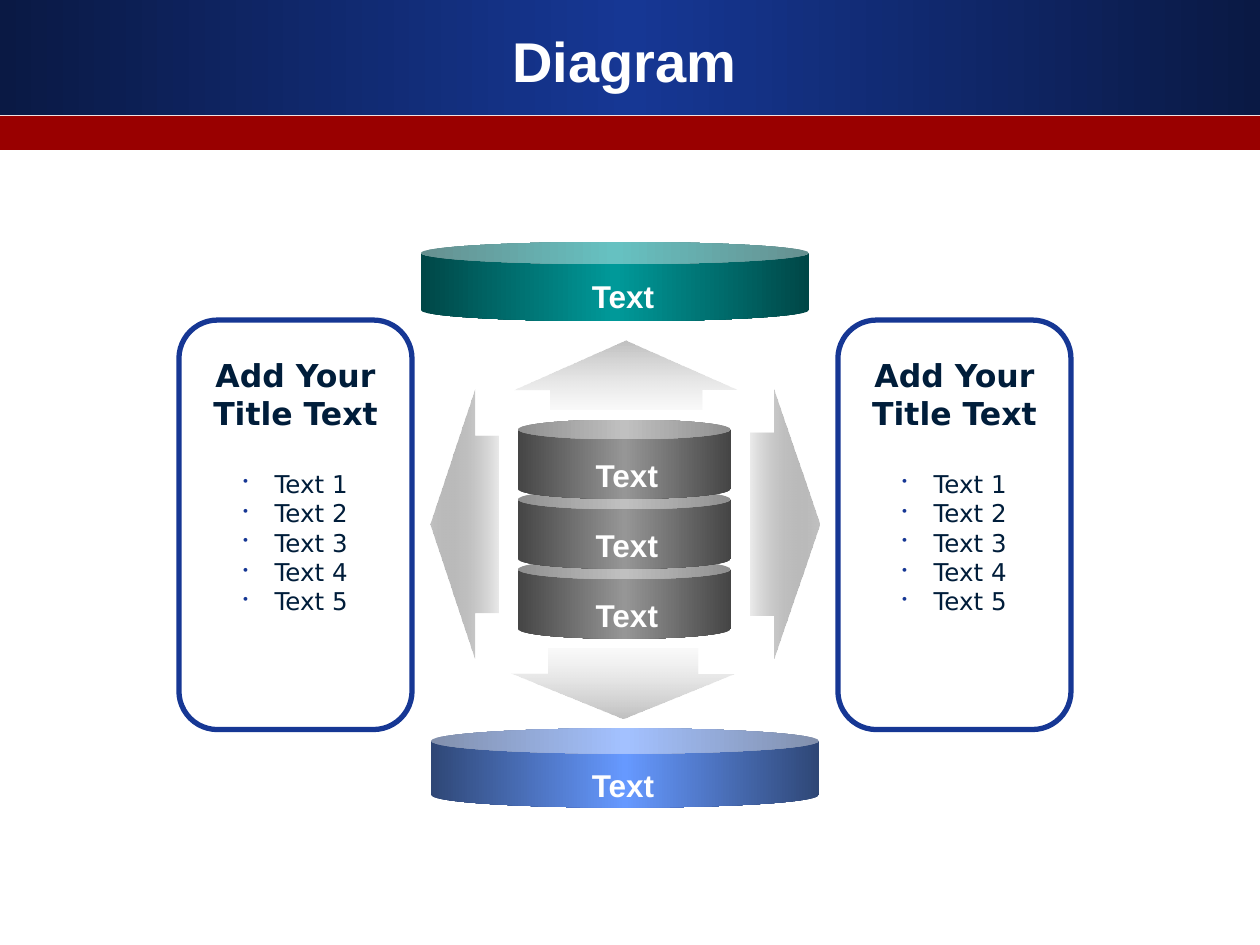
from pptx import Presentation
from pptx.dml.color import RGBColor
from pptx.enum.shapes import MSO_SHAPE
from pptx.enum.text import MSO_ANCHOR, PP_ALIGN
from pptx.oxml.ns import qn
from pptx.util import Inches, Pt
from lxml import etree

RECT = MSO_SHAPE.RECTANGLE
ROUNDED = MSO_SHAPE.ROUNDED_RECTANGLE
CAN = MSO_SHAPE.CAN
UP = MSO_SHAPE.UP_ARROW
DOWN = MSO_SHAPE.DOWN_ARROW
LEFT = MSO_SHAPE.LEFT_ARROW
RIGHT = MSO_SHAPE.RIGHT_ARROW
CENTER = PP_ALIGN.CENTER
MIDDLE = MSO_ANCHOR.MIDDLE

WHITE = RGBColor(0xFF, 0xFF, 0xFF)
RED = RGBColor(0x99, 0x00, 0x00)
BLUE = RGBColor(0x16, 0x37, 0x94)
DARK_BLUE = RGBColor(0x0A, 0x19, 0x44)
INK = RGBColor(0x00, 0x1D, 0x3A)
GRAY = RGBColor(0x96, 0x96, 0x96)
DARK_GRAY = RGBColor(0x45, 0x45, 0x45)
TEAL = RGBColor(0x00, 0x99, 0x99)
DARK_TEAL = RGBColor(0x00, 0x47, 0x47)
SKY = RGBColor(0x66, 0x99, 0xFF)
DARK_SKY = RGBColor(0x2F, 0x47, 0x76)
SILVER = RGBColor(0xC0, 0xC0, 0xC0)
SIDE_FADE = RGBColor(0x59, 0x59, 0x59)
UPRIGHT_FADE = RGBColor(0xD7, 0xD7, 0xD7)

HEADING_FONT = "Arial"
PANEL_FONT = "DejaVu Sans"


def add_preset(slide, kind, box, adjustments=()):
    shape = slide.shapes.add_shape(kind, *map(Inches, box))
    shape.shadow.inherit = False
    shape.line.fill.background()
    for index, value in enumerate(adjustments):
        shape.adjustments[index] = value
    return shape


def fill_gradient(shape, stops, angle=0):
    shape.fill.gradient()
    shape.fill.gradient_angle = angle
    stop_list = shape._element.spPr.find(qn("a:gradFill")).find(qn("a:gsLst"))
    for old_stop in list(stop_list):
        stop_list.remove(old_stop)
    for position, color, opacity in stops:
        stop = etree.SubElement(stop_list, qn("a:gs"), pos=str(position * 1000))
        rgb = etree.SubElement(stop, qn("a:srgbClr"), val=str(color))
        if opacity < 100:
            etree.SubElement(rgb, qn("a:alpha"), val=str(opacity * 1000))


def fill_sheen(shape, edge, middle):
    fill_gradient(shape, [(0, edge, 100), (50, middle, 100), (100, edge, 100)])


def add_can(slide, box, rim, edge, middle):
    fill_sheen(add_preset(slide, CAN, box, [rim]), edge, middle)


def add_arrow(slide, kind, box, adjustments, fade, angle=0):
    arrow = add_preset(slide, kind, box, adjustments)
    stops = [(SILVER, 100), (fade, 12)]
    if kind in (RIGHT, DOWN):
        stops.reverse()
    fill_gradient(arrow, [(0, *stops[0]), (100, *stops[1])], angle)


def add_text_frame(slide, box, wrap=True):
    frame = slide.shapes.add_textbox(*map(Inches, box)).text_frame
    frame.word_wrap = wrap
    return frame


def write_run(paragraph, text, font, size, color, bold=True):
    paragraph.alignment = CENTER
    run = paragraph.add_run()
    run.text = text
    run.font.name = font
    run.font.size = Pt(size)
    run.font.color.rgb = color
    run.font.bold = bold


def add_label(slide, left, top):
    frame = add_text_frame(slide, (left, top, 0.71, 0.4), wrap=False)
    write_run(frame.paragraphs[0], "Text", HEADING_FONT, 18, WHITE)


def set_bullet(paragraph):
    properties = paragraph._p.get_or_add_pPr()
    properties.set("marL", str(Inches(0.25)))
    properties.set("indent", str(Inches(-0.25)))
    color = etree.SubElement(properties, qn("a:buClr"))
    etree.SubElement(color, qn("a:srgbClr"), val=str(BLUE))
    etree.SubElement(properties, qn("a:buSzPct"), val="60000")
    etree.SubElement(properties, qn("a:buChar"), char="•")


def add_panel(slide, left):
    border = add_preset(slide, ROUNDED, (left, 2.54, 1.85, 3.25), [0.165])
    border.fill.background()
    border.line.color.rgb = BLUE
    border.line.width = Pt(3)

    frame = add_text_frame(slide, (left + 0.08, 2.78, 1.69, 2.17))
    write_run(frame.paragraphs[0], "Add Your", PANEL_FONT, 18, INK)
    write_run(frame.add_paragraph(), "Title Text", PANEL_FONT, 18, INK)
    for number in range(1, 6):
        item = frame.add_paragraph()
        set_bullet(item)
        if number == 1:
            item.space_before = Pt(21)
        write_run(item, f"Text {number}", PANEL_FONT, 14, INK, bold=False)


def add_header(slide):
    fill_sheen(add_preset(slide, RECT, (0, 0, 10, 0.91)), DARK_BLUE, BLUE)
    stripe = add_preset(slide, RECT, (0, 0.92, 10, 0.27))
    stripe.fill.solid()
    stripe.fill.fore_color.rgb = RED
    title = add_text_frame(slide, (0.33, 0.17, 9.25, 0.62))
    title.vertical_anchor = MIDDLE
    write_run(title.paragraphs[0], "Diagram", HEADING_FONT, 32, WHITE)


def add_center_stack(slide):
    tops = [3.33 + 0.555 * level for level in range(3)]
    for top in reversed(tops):
        add_can(slide, (4.11, top, 1.69, 0.63), 0.25, DARK_GRAY, GRAY)
    for top in tops:
        add_label(slide, 4.62, top + 0.24)


def main():
    presentation = Presentation()
    presentation.slide_width = Inches(10)
    presentation.slide_height = Inches(7.5)
    slide = presentation.slides.add_slide(presentation.slide_layouts[6])

    add_header(slide)
    add_center_stack(slide)
    for left in (1.42, 6.65):
        add_panel(slide, left)

    add_arrow(slide, LEFT, (3.42, 3.09, 0.54, 2.14), (0.66, 0.65), SIDE_FADE)
    add_arrow(slide, RIGHT, (5.96, 3.09, 0.54, 2.14), (0.68, 0.66), SIDE_FADE)
    add_arrow(slide, UP, (4.08, 2.7, 1.77, 0.55), (0.68, 0.71), UPRIGHT_FADE, 270)
    add_arrow(slide, DOWN, (4.06, 5.15, 1.77, 0.55), (0.67, 0.64), UPRIGHT_FADE, 270)

    add_can(slide, (3.34, 1.92, 3.08, 0.63), 0.28, DARK_TEAL, TEAL)
    add_label(slide, 4.59, 2.15)
    add_can(slide, (3.42, 5.78, 3.08, 0.63), 0.32, DARK_SKY, SKY)
    add_label(slide, 4.59, 6.03)

    presentation.save("out.pptx")


if __name__ == "__main__":
    main()
